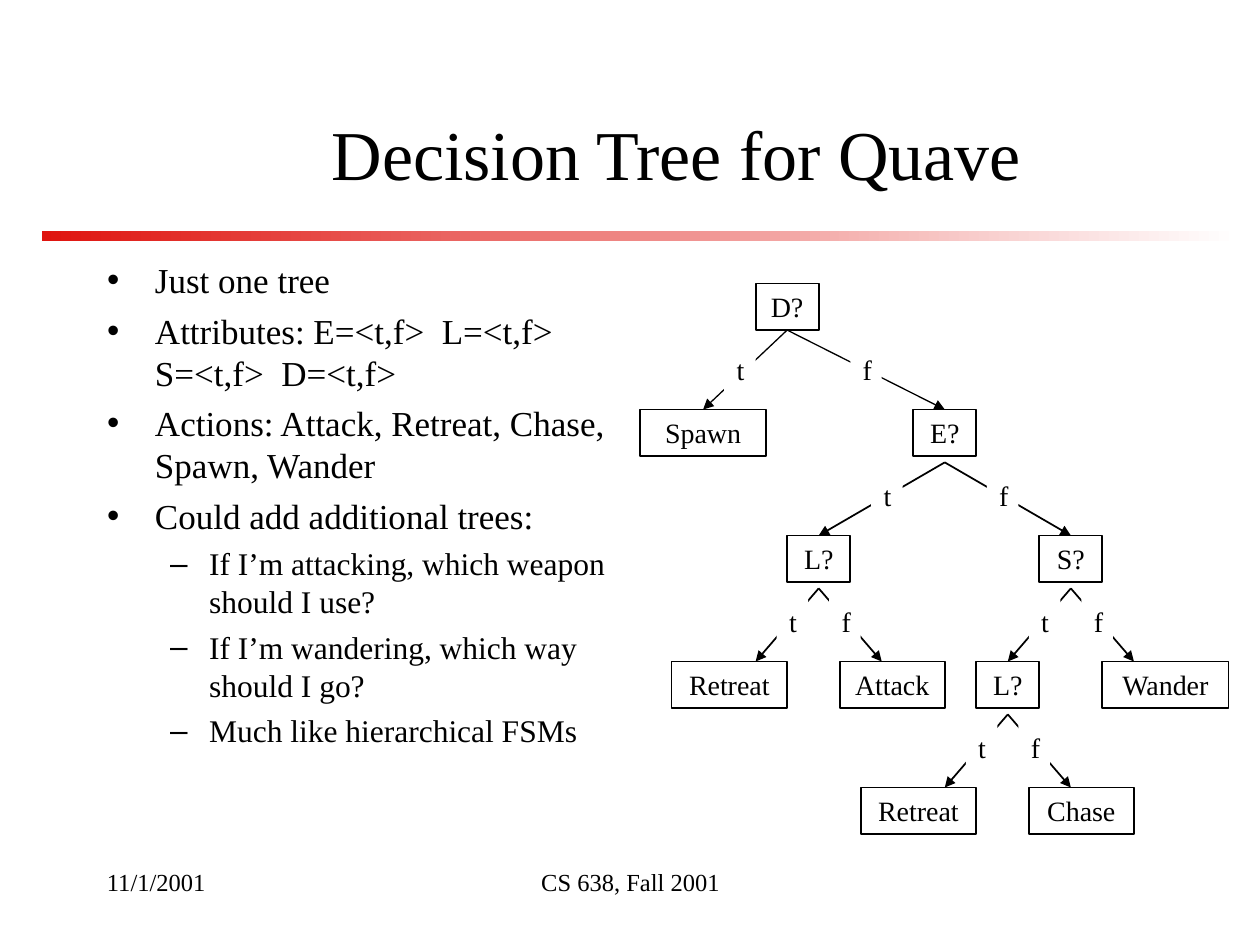
from lxml.etree import SubElement
from pptx import Presentation
from pptx.dml.color import RGBColor
from pptx.enum.shapes import MSO_CONNECTOR as Connector, MSO_SHAPE as Shape
from pptx.enum.text import MSO_ANCHOR as Anchor, MSO_AUTO_SIZE as AutoSize, PP_ALIGN as Align
from pptx.oxml.ns import qn
from pptx.util import Inches, Pt

WIDTH, HEIGHT = 10, 7.5
FONT = "Times New Roman"
BLACK, WHITE, RED = "000000", "FFFFFF", "DF140F"
COLUMNS, ROW, NODE_HEIGHT, LABEL_WIDTH = 56, 1, 0.37, 3

BULLETS = [
    (0, "Just one tree"),
    (0, "Attributes: E=<t,f>  L=<t,f>  S=<t,f>  D=<t,f>"),
    (0, "Actions: Attack, Retreat, Chase, Spawn, Wander"),
    (0, "Could add additional trees:"),
    (1, "If I’m attacking, which weapon should I use?"),
    (1, "If I’m wandering, which way should I go?"),
    (1, "Much like hierarchical FSMs"),
]
# Per level: size, space before, left margin, hanging indent, bullet
LEVELS = [(20, 5, 0.38, -0.38, "•"), (18, 4.5, 0.81, -0.31, "–")]

# Key: text, column, row, width in columns
NODES = {
    "D": ("D?", 11, 0, 6),
    "spawn": ("Spawn", 0, 1, 12),
    "E": ("E?", 26, 1, 6),
    "L": ("L?", 14, 2, 6),
    "S": ("S?", 38, 2, 6),
    "retreat": ("Retreat", 3, 3, 11),
    "attack": ("Attack", 19, 3, 10),
    "S-L": ("L?", 32, 3, 6),
    "wander": ("Wander", 44, 3, 12),
    "S-retreat": ("Retreat", 21, 4, 11),
    "chase": ("Chase", 37, 4, 10),
}
# Parent, child, answer, column of the answer, column of the arrow tip
BRANCHES = [
    ("D", "spawn", "t", 8, 6), ("D", "E", "f", 20, 29),
    ("E", "L", "t", 22, 17), ("E", "S", "f", 33, 41),
    ("L", "retreat", "t", 13, 11), ("L", "attack", "f", 18, 23),
    ("S", "S-L", "t", 37, 35), ("S", "wander", "f", 42, 47),
    ("S-L", "S-retreat", "t", 31, 29), ("S-L", "chase", "f", 36, 41),
]


def color(hex_text):
    return RGBColor.from_string(hex_text)


def place(shape, box):
    shape.left, shape.top, shape.width, shape.height = map(Inches, box)


def write(paragraph, text, size, align=Align.LEFT, before=0):
    paragraph.alignment = align
    paragraph.space_before = Pt(before)
    run = paragraph.add_run()
    run.text = text
    run.font.name, run.font.size = FONT, Pt(size)
    run.font.color.rgb = color(BLACK)


def add_title(slide, box, text):
    title = slide.shapes.title
    place(title, box)
    title.text_frame.auto_size = AutoSize.NONE
    title.text_frame.vertical_anchor = Anchor.MIDDLE
    write(title.text_frame.paragraphs[0], text, 40, align=Align.CENTER)


def add_bullets(slide, box, items):
    body = slide.placeholders[1]
    place(body, box)
    frame = body.text_frame
    frame.auto_size = AutoSize.NONE
    for index, (level, text) in enumerate(items):
        paragraph = frame.add_paragraph() if index else frame.paragraphs[0]
        size, before, margin, indent, bullet = LEVELS[level]
        paragraph.level = level
        write(paragraph, text, size, before=before)
        properties = paragraph._p.get_or_add_pPr()
        properties.set("marL", str(Inches(margin)))
        properties.set("indent", str(Inches(indent)))
        SubElement(properties, qn("a:buChar")).set("char", bullet)


def add_rectangle(slide, box, fill=None, line=None):
    shape = slide.shapes.add_shape(Shape.RECTANGLE, *map(Inches, box))
    shape.shadow.inherit = False
    if fill:
        shape.fill.solid()
        shape.fill.fore_color.rgb = color(fill)
    else:
        shape.fill.background()
    if line:
        shape.line.color.rgb = color(line)
        shape.line.width = Pt(1)
    else:
        shape.line.fill.background()
    return shape


def add_rule(slide, box):
    """Bar that fades from red to white."""
    rule = add_rectangle(slide, box)
    rule.fill.gradient()
    rule.fill.gradient_angle = 0
    for stop, hex_text in zip(rule.fill.gradient_stops, (RED, WHITE)):
        stop.color.rgb = color(hex_text)


def add_tree_box(slide, box, text, align, **style):
    shape = add_rectangle(slide, box, **style)
    shape.text_frame.word_wrap = True
    shape.text_frame.vertical_anchor = Anchor.MIDDLE
    write(shape.text_frame.paragraphs[0], text, 16, align=align)
    return shape


def add_arrow(slide, start, end, width):
    arrow = slide.shapes.add_connector(Connector.STRAIGHT, *map(Inches, start + end))
    arrow.line.color.rgb = color(BLACK)
    arrow.line.width = Pt(width)
    SubElement(arrow.line._get_or_add_ln(), qn("a:tailEnd")).set("type", "triangle")
    SubElement(arrow._element.spPr, qn("a:effectLst"))
    return arrow


def add_tree(slide, box):
    left, top, width, _ = box
    column = width / COLUMNS

    def cell(start, row, span):
        return left + start * column, top + row * ROW, span * column, NODE_HEIGHT

    shapes = {key: add_tree_box(slide, cell(*spot), text, Align.CENTER, line=BLACK)
              for key, (text, *spot) in NODES.items()}

    for parent, child, _, _, tip in BRANCHES:
        _, start, row, span = NODES[parent]
        _, child_start, child_row, child_span = NODES[child]
        is_root = row == 0
        arrow = add_arrow(slide,
                          (left + (start + span / 2) * column, top + row * ROW + 0.42),
                          (left + tip * column, top + child_row * ROW),
                          width=0.75 if is_root else 1)
        if is_root:
            arrow.begin_connect(shapes[parent], 2)
        if tip == child_start + child_span / 2:
            arrow.end_connect(shapes[child], 0)

    for parent, _, answer, start, _ in BRANCHES:
        row = NODES[parent][2] + 0.5
        add_tree_box(slide, cell(start, row, LABEL_WIDTH), answer, Align.LEFT, fill=WHITE)


def add_footer(slide, box, text, align):
    footer = slide.shapes.add_textbox(*map(Inches, box))
    footer.text_frame.word_wrap = True
    write(footer.text_frame.paragraphs[0], text, 14, align=align)


def main():
    presentation = Presentation()
    presentation.slide_width, presentation.slide_height = Inches(WIDTH), Inches(HEIGHT)
    slide = presentation.slides.add_slide(presentation.slide_layouts[1])
    add_rule(slide, (0.33, 1.83, 9.5, 0.08))
    add_title(slide, (1.33, 0.67, 8.08, 1.08), "Decision Tree for Quave")
    add_bullets(slide, (0.75, 2, 4.25, 4.5), BULLETS)
    add_tree(slide, (5.08, 2.25, 4.67, 4.37))
    add_footer(slide, (3.42, 6.83, 3.17, 0.5), "CS 638, Fall 2001", Align.CENTER)
    add_footer(slide, (0.75, 6.83, 2.08, 0.5), "11/1/2001", Align.LEFT)
    presentation.save("out.pptx")


if __name__ == "__main__":
    main()
